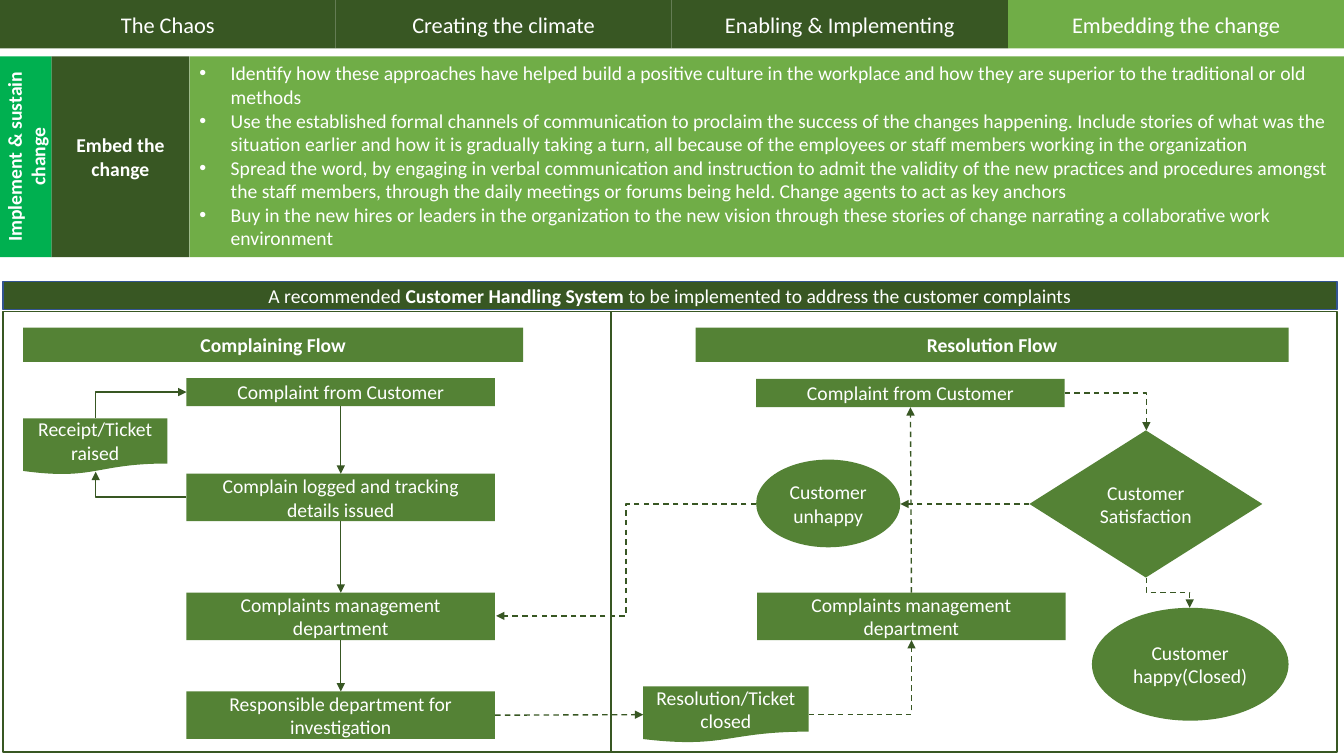
import dataclasses

import pptx
import pptx.dml.color
import pptx.enum.dml
import pptx.enum.shapes
import pptx.enum.text
import pptx.oxml
import pptx.oxml.ns
import pptx.util

PX = 9144  # EMU per px, 100 px to the inch
SLIDE_W, SLIDE_H = 1333, 750
SHAPE = pptx.enum.shapes.MSO_SHAPE
LINK = pptx.enum.shapes.MSO_CONNECTOR
ALIGN = pptx.enum.text.PP_ALIGN
ANCHOR = pptx.enum.text.MSO_ANCHOR
TOP, LEFT, BOTTOM, RIGHT = range(4)


@dataclasses.dataclass(frozen=True)
class Theme:
    dark: str = "385723"
    mid: str = "548235"
    light: str = "70AD47"
    bright: str = "00B050"
    banner_edge: str = "325491"
    text: str = "FFFFFF"
    font: str = "Calibri"
    body_size: int = 14
    tab_size: int = 16


theme = Theme()
rgb = pptx.dml.color.RGBColor.from_string
qn = pptx.oxml.ns.qn

deck = pptx.Presentation()
deck.slide_width, deck.slide_height = SLIDE_W * PX, SLIDE_H * PX
slide = deck.slides.add_slide(deck.slide_layouts[6])


def add_box(kind, at, fill=None, paragraphs=(), size=theme.body_size, edge=None):
    """Add a shape; each paragraph is a list of (text, bold) runs."""
    box = slide.shapes.add_shape(kind, *(length * PX for length in at))
    box.shadow.inherit = False
    if fill:
        box.fill.solid()
        box.fill.fore_color.rgb = rgb(fill)
    else:
        box.fill.background()
    if edge:
        box.line.color.rgb = rgb(edge)
        box.line.width = pptx.util.Pt(1)
    else:
        box.line.fill.background()
    frame = box.text_frame
    frame.word_wrap = True
    frame.vertical_anchor = ANCHOR.MIDDLE
    for index, runs in enumerate(paragraphs):
        paragraph = frame.add_paragraph() if index else frame.paragraphs[0]
        paragraph.alignment = ALIGN.CENTER
        for text, bold in runs:
            run = paragraph.add_run()
            run.text = text
            run.font.name = theme.font
            run.font.size = pptx.util.Pt(size)
            run.font.bold = bold
            run.font.color.rgb = rgb(theme.text)
    return box


def add_arrow(kind, begin, end, dashed):
    arrow = slide.shapes.add_connector(kind, *(int(length * PX) for length in (*begin, *end)))
    arrow.line.color.rgb = rgb(theme.dark)
    arrow.line.width = pptx.util.Pt(1)
    if dashed:
        arrow.line.dash_style = pptx.enum.dml.MSO_LINE.DASH
    properties = arrow._element.spPr
    head = pptx.oxml.parse_xml(f'<a:tailEnd {pptx.oxml.ns.nsdecls("a")} type="triangle"/>')
    properties.find(qn("a:ln")).append(head)
    properties.append(pptx.oxml.parse_xml(f'<a:effectLst {pptx.oxml.ns.nsdecls("a")}/>'))
    return arrow


# Implementation step and its actions
add_box(SHAPE.RECTANGLE, (51, 56, 137, 199), theme.dark, [[("Embed the change", True)]])
stage = add_box(SHAPE.RECTANGLE, (0, 56, 51, 199), theme.bright,
                [[("Implement & sustain change", True)]])
stage.text_frame._txBody.bodyPr.set("vert", "vert270")

actions = [
    "Identify how these approaches have helped build a positive culture in the workplace and how "
    "they are superior to the traditional or old methods",
    "Use the established formal channels of communication to proclaim the success of the changes "
    "happening. Include stories of what was the situation earlier and how it is gradually taking "
    "a turn, all because of the employees or staff members working in the organization",
    "Spread the word, by engaging in verbal communication and instruction to admit the validity "
    "of the new practices and procedures amongst the staff members, through the daily meetings "
    "or forums being held. Change agents to act as key anchors",
    "Buy in the new hires or leaders in the organization to the new vision through these stories "
    "of change narrating a collaborative work environment",
]
action_panel = add_box(SHAPE.RECTANGLE, (188, 56, 1145, 199), theme.light,
                       [[(action, False)] for action in actions])
action_panel.text_frame.vertical_anchor = ANCHOR.TOP
for paragraph in action_panel.text_frame.paragraphs:
    paragraph.alignment = ALIGN.LEFT
    bullet_format = paragraph._p.get_or_add_pPr()
    bullet_format.set("marL", str(31 * PX))
    bullet_format.set("indent", str(-31 * PX))
    for bullet in ('buFont {} typeface="Arial"', 'buChar {} char="•"'):
        bullet_format.append(pptx.oxml.parse_xml(
            f'<a:{bullet.format(pptx.oxml.ns.nsdecls("a"))}/>'))

# Flow headings and steps
for heading, left, width in (("Complaining Flow", 23, 496), ("Resolution Flow", 690, 588)):
    add_box(SHAPE.RECTANGLE, (left, 325, width, 34), theme.mid, [[(heading, True)]])

steps = {}
for name, kind, at, lines in (
    ("complaint", SHAPE.RECTANGLE, (185, 375, 306, 28), ["Complaint from Customer"]),
    ("logged", SHAPE.RECTANGLE, (185, 470, 306, 47),
     ["Complain logged and tracking details issued"]),
    ("management", SHAPE.RECTANGLE, (185, 588, 306, 47), ["Complaints management department"]),
    ("investigation", SHAPE.RECTANGLE, (185, 686, 306, 47),
     ["Responsible department for investigation"]),
    ("receipt", SHAPE.FLOWCHART_DOCUMENT, (23, 415, 143, 56), ["Receipt/Ticket raised"]),
    ("returned", SHAPE.RECTANGLE, (750, 376, 306, 28), ["Complaint from Customer"]),
    ("unhappy", SHAPE.OVAL, (750, 456, 143, 87), ["Customer", "unhappy"]),
    ("satisfaction", SHAPE.DIAMOND, (1021, 427, 231, 146), ["Customer Satisfaction"]),
    ("resolving", SHAPE.RECTANGLE, (751, 588, 306, 47), ["Complaints management department"]),
    ("happy", SHAPE.OVAL, (1083, 603, 195, 112), ["Customer", "happy(Closed)"]),
    ("closed", SHAPE.FLOWCHART_DOCUMENT, (638, 681, 164, 56), ["Resolution/Ticket closed"]),
):
    steps[name] = add_box(kind, at, theme.mid, [[(line, False)] for line in lines])

# Straight arrows between steps
for source, source_side, target, target_side, dashed in (
    ("complaint", BOTTOM, "logged", TOP, False),
    ("logged", BOTTOM, "management", TOP, False),
    ("management", BOTTOM, "investigation", TOP, False),
    ("investigation", RIGHT, "closed", LEFT, True),
    ("resolving", TOP, "returned", BOTTOM, True),
):
    arrow = add_arrow(LINK.STRAIGHT, (0, 0), (0, 0), dashed)
    arrow.begin_connect(steps[source], source_side)
    arrow.end_connect(steps[target], target_side)
to_unhappy = add_arrow(LINK.STRAIGHT, (1021, 500), (893, 500), True)
to_unhappy.begin_connect(steps["satisfaction"], LEFT)

# Bent arrows: those that leave vertically are laid out on their side, then turned by 90°
for begin, end, bends, vertical, dashed in (
    ((185, 493), (95, 468), 1, False, False),
    ((95, 415), (185, 389), 1, True, False),
    ((750, 500), (492, 611), 2, False, True),
    ((802, 709), (904, 635), 1, False, True),
    ((1137, 573), (1180, 603), 2, True, True),
    ((1056, 390), (1137, 427), 1, False, True),
):
    if vertical:
        mid_x, mid_y = (begin[0] + end[0]) / 2, (begin[1] + end[1]) / 2
        half_x, half_y = (end[0] - begin[0]) / 2, (end[1] - begin[1]) / 2
        begin, end = (mid_x - half_y, mid_y + half_x), (mid_x + half_y, mid_y - half_x)
    arrow = add_arrow(LINK.ELBOW, begin, end, dashed)
    properties = arrow._element.spPr
    properties.find(qn("a:prstGeom")).set("prst", f"bentConnector{bends + 1}")
    if vertical:
        properties.find(qn("a:xfrm")).set("rot", str(90 * 60000))

# Frames and banner of the customer handling system
for left, width in ((3, 603), (606, 720)):
    add_box(SHAPE.RECTANGLE, (left, 309, width, 437), edge=theme.dark)
add_box(SHAPE.RECTANGLE, (3, 279, 1323, 28), theme.dark, [[
    ("A recommended ", False),
    ("Customer Handling System ", True),
    ("to be implemented to address the customer complaints", False),
]], edge=theme.banner_edge)

# Phase tabs
phases = ["The Chaos", "Creating the climate", "Enabling & Implementing", "Embedding the change"]
for index, phase in enumerate(phases):
    left, right = (round(SLIDE_W * edge / len(phases)) for edge in (index, index + 1))
    fill = theme.light if phase == phases[-1] else theme.dark
    add_box(SHAPE.RECTANGLE, (left, 0, right - left, 48), fill, [[(phase, False)]], theme.tab_size)

deck.save("out.pptx")
